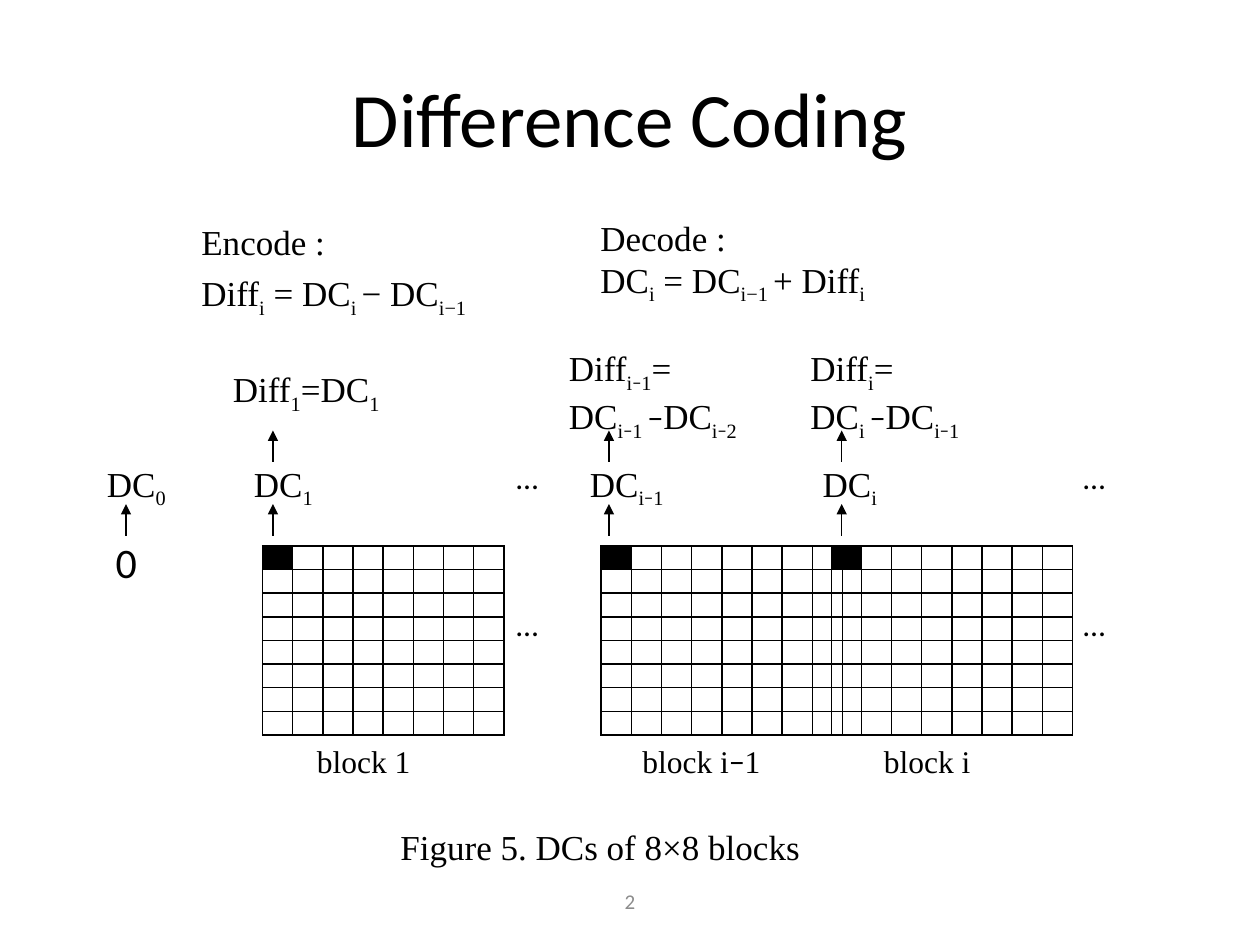
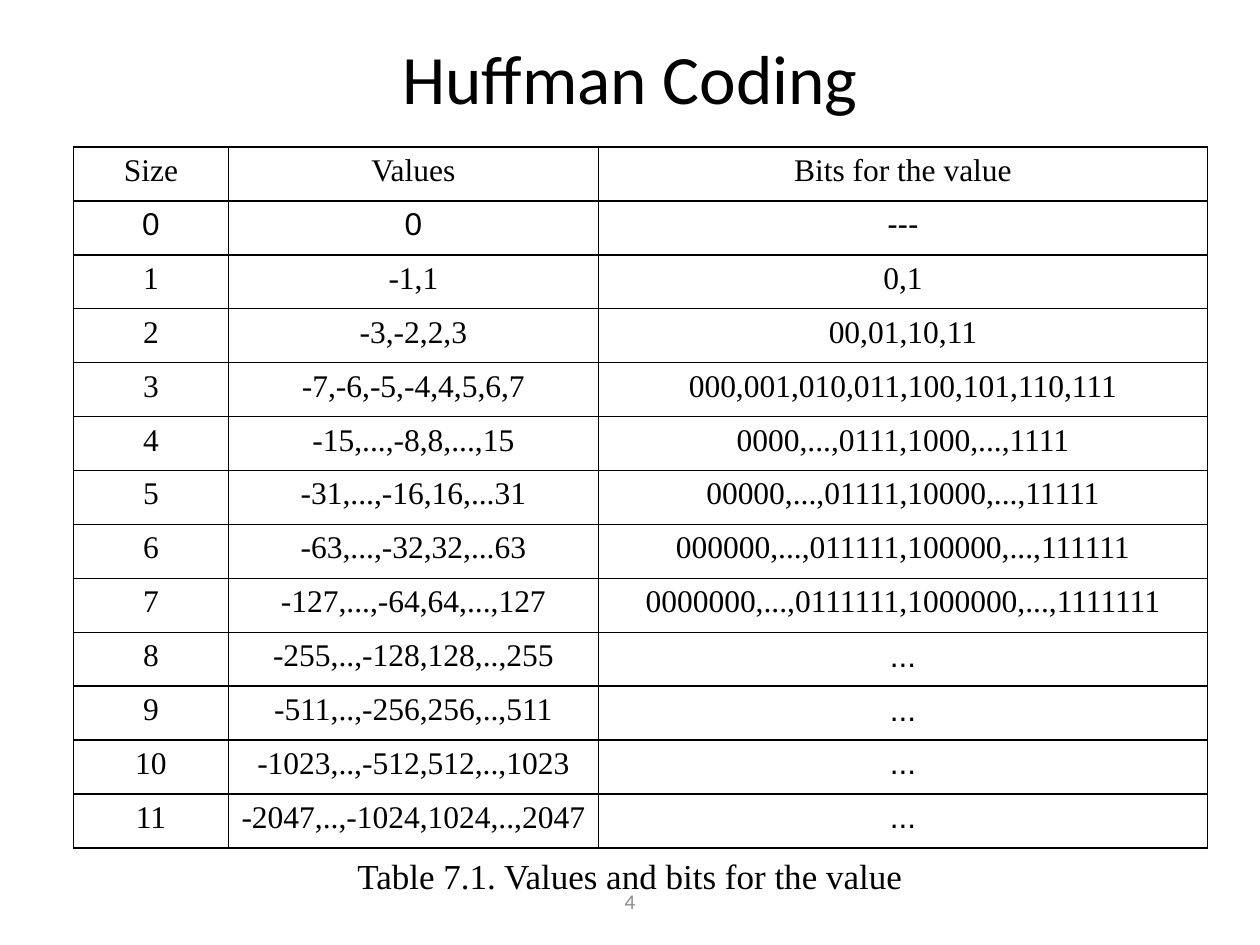
from dataclasses import dataclass
from itertools import groupby

from lxml.etree import SubElement
from pptx import Presentation
from pptx.dml.color import RGBColor
from pptx.enum.shapes import MSO_CONNECTOR as Connector
from pptx.enum.text import MSO_ANCHOR as Anchor, PP_ALIGN as Align
from pptx.oxml.ns import qn
from pptx.util import Pt


@dataclass(frozen=True)
class Theme:
    ink: RGBColor = RGBColor(0, 0, 0)
    muted: RGBColor = RGBColor(0x8C, 0x8C, 0x8C)
    heading: str = "Calibri"
    body: str = "Times New Roman"
    plain: str = "Arial"
    title_size: float = 44
    small_title_size: float = 39.6
    zero_size: float = 24
    text_size: float = 20
    label_size: float = 18
    number_size: float = 12
    empty_cell_size: float = 8
    border: float = 1
    arrow: float = 0.75


THEME = Theme()

# Values coded by each size category, and their bit patterns
HUFFMAN_ROWS = [
    ("Size", "Values", "Bits for the value"),
    ("0", "0", "---"),
    ("1", "-1,1", "0,1"),
    ("2", "-3,-2,2,3", "00,01,10,11"),
    ("3", "-7,-6,-5,-4,4,5,6,7", "000,001,010,011,100,101,110,111"),
    ("4", "-15,...,-8,8,...,15", "0000,...,0111,1000,...,1111"),
    ("5", "-31,...,-16,16,...31", "00000,...,01111,10000,...,11111"),
    ("6", "-63,...,-32,32,...63", "000000,...,011111,100000,...,111111"),
    ("7", "-127,...,-64,64,...,127", "0000000,...,0111111,1000000,...,1111111"),
    ("8", "-255,..,-128,128,..,255", "..."),
    ("9", "-511,..,-256,256,..,511", "..."),
    ("10", "-1023,..,-512,512,..,1023", "..."),
    ("11", "-2047,..,-1024,1024,..,2047", "..."),
]


# Text
def style(para, size, face=THEME.body, color=THEME.ink, align=Align.LEFT):
    para.alignment = align
    para.font.size = Pt(size)
    para.font.name = face
    para.font.color.rgb = color


def add_formula(para, text, heading_minus):
    """Write text whose [bracketed] parts are subscripts."""
    for index, part in enumerate(text.replace("]", "[").split("[")):
        for is_minus, letters in groupby(part, lambda letter: letter == "−"):
            span = para.add_run()
            span.text = "".join(letters)
            if index % 2:
                span.font._element.set("baseline", "-25000")
            if is_minus and heading_minus:
                span.font.size = Pt(THEME.label_size)
                span.font.name = THEME.heading


def add_text(page, lines, left, top, width, height, size=THEME.text_size,
             face=THEME.body, color=THEME.ink, align=Align.LEFT,
             anchor=Anchor.TOP, inset=3.6, gap=0, heading_minus=False):
    box = page.shapes.add_textbox(Pt(left), Pt(top), Pt(width), Pt(height))
    frame = box.text_frame
    frame.word_wrap = True
    frame.vertical_anchor = anchor
    frame.margin_top = frame.margin_bottom = Pt(inset)
    for index, line in enumerate(lines):
        para = frame.add_paragraph() if index else frame.paragraphs[0]
        style(para, size, face, color, align)
        if index:
            para.space_before = Pt(gap)
        add_formula(para, line, heading_minus)


def add_centered(page, text, *place, **look):
    add_text(page, [text], *place, align=Align.CENTER, anchor=Anchor.MIDDLE, **look)


def add_page(deck, title, number, title_height, title_size):
    page = deck.slides.add_slide(deck.slide_layouts[6])
    add_centered(page, title, 36, 21.6, 648, title_height,
                 size=title_size, face=THEME.heading)
    add_centered(page, number, 246, 500.4, 228, 28.8,
                 size=THEME.number_size, face=THEME.heading, color=THEME.muted)
    return page


# Lines and tables
def add_up_arrow(page, x, bottom, length=18):
    line = page.shapes.add_connector(
        Connector.STRAIGHT, Pt(x), Pt(bottom), Pt(x), Pt(bottom - length))
    line.line.color.rgb = THEME.ink
    line.line.width = Pt(THEME.arrow)
    SubElement(line.line._get_or_add_ln(), qn("a:tailEnd"), type="triangle")
    SubElement(line._element.spPr, qn("a:effectLst"))


def frame_cell(cell):
    props = cell._tc.get_or_add_tcPr()
    for side in ("lnL", "lnR", "lnT", "lnB"):
        edge = SubElement(props, qn(f"a:{side}"), w=str(Pt(THEME.border)))
        fill = SubElement(edge, qn("a:solidFill"))
        SubElement(fill, qn("a:srgbClr"), val=str(THEME.ink))
    cell.fill.background()


def add_grid(page, left, top, widths, row_count, row_height):
    table = page.shapes.add_table(
        row_count, len(widths), Pt(left), Pt(top),
        Pt(sum(widths)), Pt(row_count * row_height)).table
    table.first_row = table.horz_banding = False
    for column, width in zip(table.columns, widths):
        column.width = Pt(width)
    for row in table.rows:
        row.height = Pt(row_height)
    for cell in table.iter_cells():
        frame_cell(cell)
    return table


def add_block(page, left):
    """Draw an 8×8 block with its DC cell filled."""
    table = add_grid(page, left, 312, [17.25] * 8, 8, 13.5)
    for cell in table.iter_cells():
        cell.margin_left = cell.margin_right = 0
        cell.margin_top = cell.margin_bottom = 0
        para = cell.text_frame.paragraphs[0]
        style(para, THEME.empty_cell_size)
        ending = para._p.get_or_add_endParaRPr()
        ending.set("sz", str(THEME.empty_cell_size * 100))
    corner = table.cell(0, 0)
    corner.fill.solid()
    corner.fill.fore_color.rgb = THEME.ink


# Slides
def add_difference_page(deck):
    page = add_page(deck, "Difference Coding", "2", 90, THEME.title_size)
    add_text(page, ["Encode :", "Diff[i] = DC[i ]− DC[i−1]"],
             108, 126, 177, 52.5, inset=0, gap=5)
    add_text(page, ["Decode :", "DC[i] = DC[i−1 ]+ Diff[i]"], 336, 120, 180, 55.5)

    # Blocks with their captions
    for left, caption, caption_left in ((150, "block 1", 174),
                                        (343.5, "block i−1", 360),
                                        (475, "block i", 498)):
        add_block(page, left)
        add_text(page, [caption], caption_left, 420.25, 90, 29,
                 size=THEME.label_size, heading_minus=True)

    # DC values, each above an arrow
    for x, label in ((72, "DC[0]"), (156, "DC[1]"), (348, "DC[i−1]"), (481, "DC[i]")):
        add_up_arrow(page, x, 306)
        add_text(page, [label], x - 18, 264, 78, 24, inset=0, heading_minus=True)
    add_text(page, ["0"], 59, 303, 32, 36, size=THEME.zero_size, face=THEME.heading)

    # Differences derived from the DC values
    for x, left, top, lines in (
            (156, 126, 210, ["Diff[1]=DC[1]"]),
            (348, 318, 198, ["Diff[i−1]=", "DC[i−1 ]−DC[i−2]"]),
            (481, 456, 198, ["Diff[i]=", "DC[i ]−DC[i−1]"])):
        add_up_arrow(page, x, 264)
        add_text(page, lines, left, top, 126, 24 * len(lines),
                 inset=0, heading_minus=True)

    for left in (288, 612):
        for top in (258, 342):
            add_text(page, ["…"], left, top, 34, 29,
                     size=THEME.label_size, face=THEME.heading)
    add_centered(page, "Figure 5. DCs of 8×8 blocks", 219, 468, 248, 31)


def add_huffman_page(deck):
    page = add_page(deck, "Huffman Coding", "4", 45, THEME.small_title_size)
    table = add_grid(page, 42, 84, [88.5, 211.5, 348], len(HUFFMAN_ROWS), 30.82)
    for row, values in zip(table.rows, HUFFMAN_ROWS):
        for cell, value in zip(row.cells, values):
            cell.margin_left = cell.margin_right = Pt(3.6)
            para = cell.text_frame.paragraphs[0]
            para.text = value
            face = THEME.plain if value in ("0", "---", "...") else THEME.body
            style(para, THEME.label_size, face, align=Align.CENTER)
    add_centered(page, "Table 7.1. Values and bits for the value", 180, 484.5, 360, 32)


def main():
    deck = Presentation()
    deck.slide_width, deck.slide_height = Pt(720), Pt(540)
    add_difference_page(deck)
    add_huffman_page(deck)
    deck.save("out.pptx")


if __name__ == "__main__":
    main()
